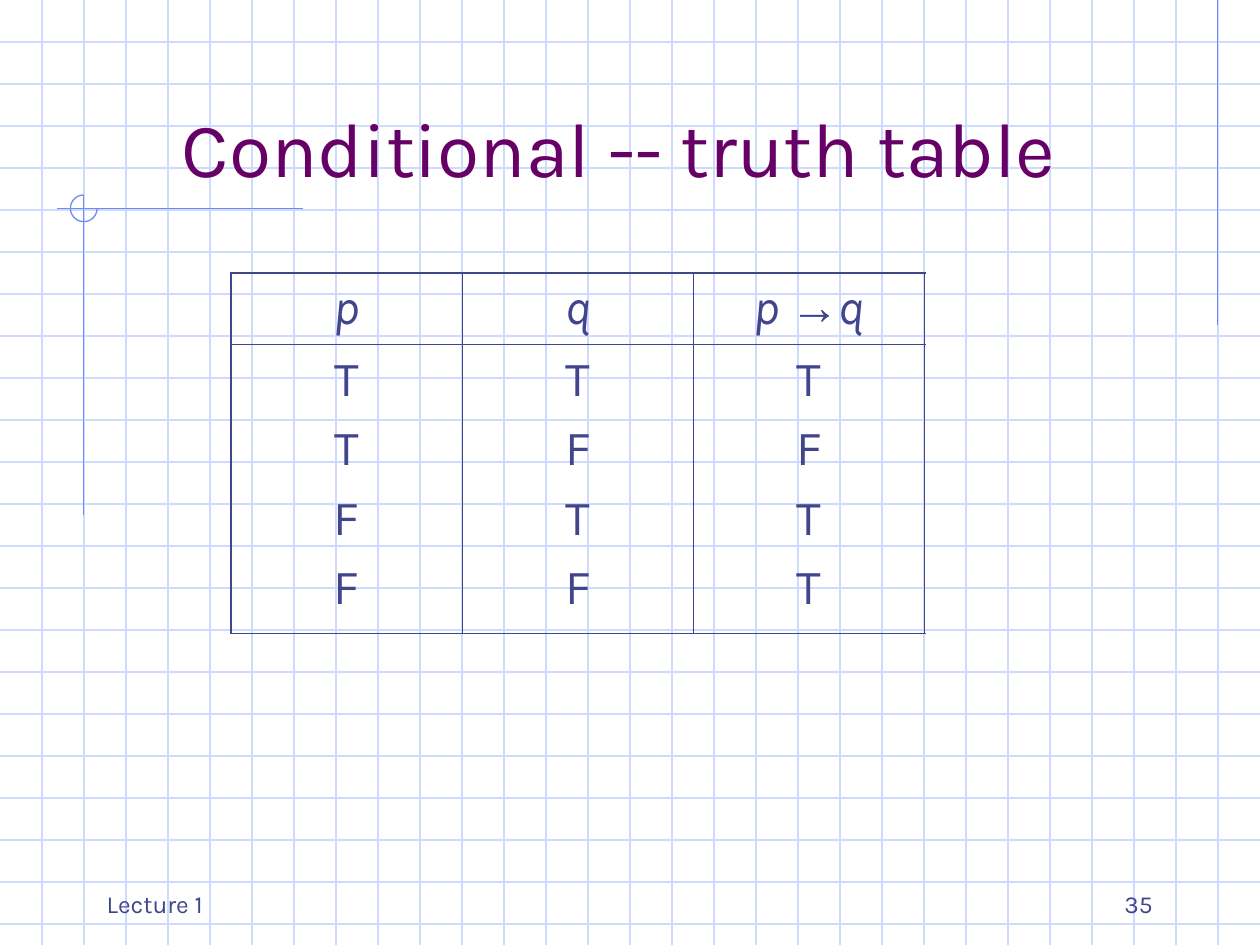
from lxml.etree import SubElement
from pptx import Presentation
from pptx.dml.color import RGBColor
from pptx.enum.shapes import MSO_CONNECTOR, MSO_SHAPE
from pptx.enum.text import MSO_ANCHOR, PP_ALIGN
from pptx.oxml import parse_xml
from pptx.oxml.ns import nsdecls, qn
from pptx.util import Cm, Pt

PURPLE = RGBColor(0x66, 0x00, 0x66)
INDIGO = RGBColor(0x40, 0x45, 0x8C)
BLUE = RGBColor(0x6F, 0x89, 0xF7)
PALE = RGBColor(0xCF, 0xDB, 0xFD)

PAGE_WIDTH, PAGE_HEIGHT = 25.4, 19.05
GRID = 2.54 / 3
OUTER, INNER = 1.08, 0.45

HEADINGS = (
    (("p", {"italic": True}),),
    (("q", {"italic": True}),),
    (("p ", {"italic": True}), ("→", {"font": "Arial"}), ("q", {"italic": True})),
)
TRUTH_COLUMNS = ("TTFF", "TFTF", "TFTT")


def add_span(para, text, *, size, color, font="Karla", italic=False):
    span = para.add_run()
    span.text = text
    span.font.name = font
    span.font.size = Pt(size)
    span.font.italic = italic
    span.font.color.rgb = color


class Page:
    line_width = Pt(0.75)

    def __init__(self, deck):
        self.slide = deck.slides.add_slide(deck.slide_layouts[6])

    def line(self, x1, y1, x2, y2, color):
        connector = self.slide.shapes.add_connector(
            MSO_CONNECTOR.STRAIGHT, Cm(x1), Cm(y1), Cm(x2), Cm(y2)
        )
        connector.line.color.rgb = color
        connector.line.width = self.line_width
        SubElement(connector._element.spPr, qn("a:effectLst"))

    def arc(self, left, top, size, start, end, color):
        shape = self.slide.shapes.add_shape(
            MSO_SHAPE.ARC, Cm(left), Cm(top), Cm(size), Cm(size)
        )
        shape.adjustments[0] = start * 0.6
        shape.adjustments[1] = end * 0.6
        shape.shadow.inherit = False
        shape.fill.background()
        shape.line.color.rgb = color
        shape.line.width = self.line_width

    def text(self, left, top, width, height, text, align, **style):
        box = self.slide.shapes.add_textbox(Cm(left), Cm(top), Cm(width), Cm(height))
        frame = box.text_frame
        frame.word_wrap = True
        frame.vertical_anchor = MSO_ANCHOR.BOTTOM
        para = frame.paragraphs[0]
        para.alignment = align
        add_span(para, text, **style)

    def table(self, left, top, column_width, row_heights, rows, **style):
        columns = len(rows[0])
        table = self.slide.shapes.add_table(
            len(rows), columns, Cm(left), Cm(top),
            Cm(column_width * columns), Cm(sum(row_heights)),
        ).table
        table.first_row = table.horz_banding = False
        for column in table.columns:
            column.width = Cm(column_width)
        for r, (height, row) in enumerate(zip(row_heights, rows)):
            table.rows[r].height = Cm(height)
            for c, paragraphs in enumerate(row):
                cell = table.cell(r, c)
                self.cell_text(cell, paragraphs, **style)
                cell.fill.background()
                at_edge = {
                    "L": c == 0,
                    "R": c == columns - 1,
                    "T": r == 0,
                    "B": r == len(rows) - 1,
                }
                self.cell_borders(cell, at_edge, style["color"])

    def cell_text(self, cell, paragraphs, **style):
        frame = cell.text_frame
        for index, spans in enumerate(paragraphs):
            para = frame.add_paragraph() if index else frame.paragraphs[0]
            para.alignment = PP_ALIGN.CENTER
            if index:
                para.space_before = Pt(7)
            for text, changes in spans:
                add_span(para, text, **style, **changes)

    def cell_borders(self, cell, at_edge, color):
        properties = cell._tc.get_or_add_tcPr()
        for index, (side, outer) in enumerate(at_edge.items()):
            width = Pt(OUTER if outer else INNER)
            border = parse_xml(
                f'<a:ln{side} {nsdecls("a")} w="{width}"><a:solidFill>'
                f'<a:srgbClr val="{color}"/></a:solidFill></a:ln{side}>'
            )
            properties.insert(index, border)


def main():
    deck = Presentation()
    deck.slide_width, deck.slide_height = Cm(PAGE_WIDTH), Cm(PAGE_HEIGHT)
    page = Page(deck)

    for step in range(1, 23):
        page.line(0, step * GRID, PAGE_WIDTH, step * GRID, PALE)
    for step in range(1, 30):
        page.line(step * GRID, 0, step * GRID, PAGE_HEIGHT, PALE)

    page.line(24.55, 0, 24.55, 6.55, BLUE)
    page.line(6.1, 4.2, 1.15, 4.2, BLUE)
    page.line(1.69, 3.93, 1.69, 10.39, BLUE)
    page.arc(1.42, 3.93, 0.54, 0, 270, BLUE)

    page.text(1.69, 0.85, 21.59, 3.17, "Conditional -- truth table",
              PP_ALIGN.CENTER, size=44, color=PURPLE)

    header = [[spans] for spans in HEADINGS]
    values = [[[(letter, {})] for letter in column] for column in TRUTH_COLUMNS]
    page.table(4.66, 5.5, 4.66, (1.45, 5.82), (header, values),
               size=28, color=INDIGO)

    page.text(18.2, 17.36, 5.29, 1.27, "35", PP_ALIGN.RIGHT, size=14, color=INDIGO)
    page.text(1.9, 17.36, 5.29, 1.27, "Lecture 1", PP_ALIGN.LEFT, size=14, color=INDIGO)

    deck.save("out.pptx")


if __name__ == "__main__":
    main()
